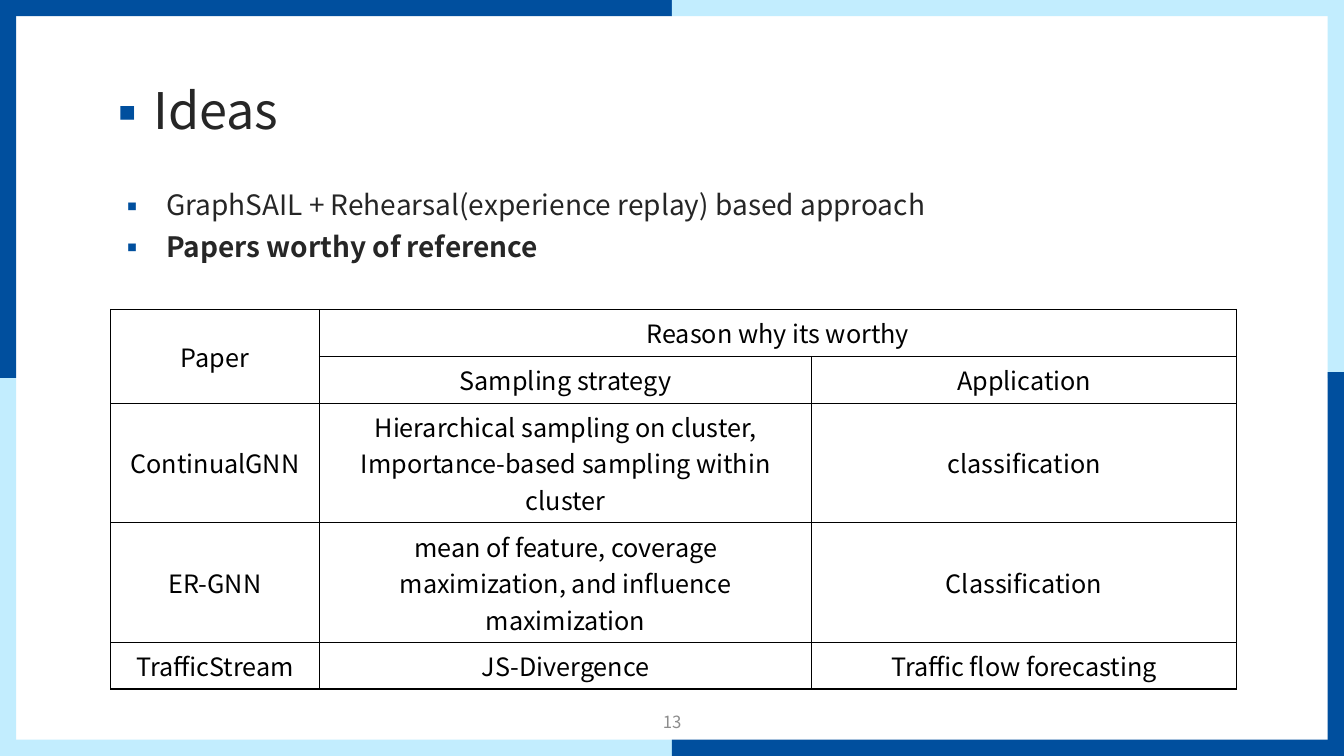
from lxml.etree import SubElement
from pptx import Presentation
from pptx.dml.color import RGBColor
from pptx.enum.shapes import MSO_SHAPE as Shape
from pptx.enum.text import MSO_ANCHOR as Anchor, MSO_AUTO_SIZE as Fit, PP_ALIGN as Align
from pptx.oxml import parse_xml
from pptx.oxml.ns import nsdecls, qn
from pptx.util import Cm, Pt

TITLE = "Ideas"
POINTS = [
    ("GraphSAIL + Rehearsal(experience replay) based approach", False),
    ("Papers worthy of reference", True),
]
NUMBER = "13"
ROWS = [
    ("Paper", "Reason why its worthy", ""),
    ("", "Sampling strategy", "Application"),
    ("ContinualGNN",
     "Hierarchical sampling on cluster,\nImportance-based sampling within cluster",
     "classification"),
    ("ER-GNN",
     "mean of feature, coverage maximization, and influence maximization",
     "Classification"),
    ("TrafficStream", "JS-Divergence", "Traffic flow forecasting"),
]
MERGES = [((0, 0), (1, 0)), ((0, 1), (0, 2))]
COLS = [5.26, 12.41, 10.7]
HEIGHTS = [1.18, 1.18, 3.01, 3.01, 1.18]

FONT = "Noto Sans CJK KR"
BLUE = RGBColor(0x00, 0x4F, 0x9E)
SKY = RGBColor(0xC2, 0xED, 0xFE)
DARK = RGBColor(0x26, 0x26, 0x26)
GREY = RGBColor(0x8C, 0x8C, 0x8C)
BLACK = RGBColor(0, 0, 0)

WIDTH, HEIGHT, EDGE = 33.87, 19.05, 0.41
HALF, MID = WIDTH / 2, HEIGHT / 2
BARS = [
    (0, 0, HALF, EDGE, BLUE),
    (HALF, 0, HALF, EDGE, SKY),
    (0, HEIGHT - EDGE, HALF, EDGE, SKY),
    (HALF, HEIGHT - EDGE, HALF, EDGE, BLUE),
    (0, 0, EDGE, MID, BLUE),
    (0, MID, EDGE, MID, SKY),
    (WIDTH - EDGE, 0, EDGE, MID, SKY),
    (WIDTH - EDGE, MID - 0.15, EDGE, MID + 0.15, BLUE),
]


def write(para, text, size, color, bold=False, align=Align.LEFT):
    para.alignment = align
    run = para.add_run()
    run.text = text
    font = run.font
    font.name, font.size, font.bold = FONT, Pt(size), bold
    font.color.rgb = color
    SubElement(font._element, qn("a:ea"), typeface=FONT)


def bullet(para, before=0):
    para.line_spacing = 0.9
    para.space_before = Pt(before)
    props = para._p.get_or_add_pPr()
    props.set("marL", str(Cm(1.19)))
    props.set("indent", str(Cm(-1.19)))
    tint = SubElement(props, qn("a:buClr"))
    SubElement(tint, qn("a:srgbClr"), val=str(BLUE))
    SubElement(props, qn("a:buFont"), typeface=FONT)
    SubElement(props, qn("a:buChar"), char="▪")


def place(shape, left, top, width, height, anchor):
    shape.left, shape.top = Cm(left), Cm(top)
    shape.width, shape.height = Cm(width), Cm(height)
    frame = shape.text_frame
    frame.auto_size, frame.word_wrap = Fit.NONE, True
    frame.vertical_anchor = anchor
    return frame


def border(cell):
    props = cell._tc.get_or_add_tcPr()
    for spot, side in enumerate("LRTB"):
        props.insert(spot, parse_xml(
            f'<a:ln{side} {nsdecls("a")} w="{Pt(1)}"><a:solidFill>'
            f'<a:srgbClr val="{BLACK}"/></a:solidFill></a:ln{side}>'))


def add_papers(slide):
    table = slide.shapes.add_table(
        len(ROWS), len(COLS), Cm(2.79), Cm(7.8),
        Cm(sum(COLS)), Cm(sum(HEIGHTS))).table
    table.first_row = table.horz_banding = False
    for col, width in zip(table.columns, COLS):
        col.width = Cm(width)
    for row, height in zip(table.rows, HEIGHTS):
        row.height = Cm(height)
    for start, end in MERGES:
        table.cell(*start).merge(table.cell(*end))
    for r, row in enumerate(ROWS):
        for c, text in enumerate(row):
            cell = table.cell(r, c)
            cell.fill.background()
            border(cell)
            cell.vertical_anchor = Anchor.MIDDLE
            if cell.is_spanned:
                continue
            frame = cell.text_frame
            for i, line in enumerate(text.split("\n")):
                para = frame.add_paragraph() if i else frame.paragraphs[0]
                write(para, line, 18, BLACK, align=Align.CENTER)


def main():
    deck = Presentation()
    deck.slide_width, deck.slide_height = Cm(WIDTH), Cm(HEIGHT)
    slide = deck.slides.add_slide(deck.slide_layouts[1])
    for left, top, width, height, color in BARS:
        bar = slide.shapes.add_shape(
            Shape.RECTANGLE, Cm(left), Cm(top), Cm(width), Cm(height))
        bar.shadow.inherit = False
        bar.fill.solid()
        bar.fill.fore_color.rgb = color
        bar.line.fill.background()

    head = place(slide.shapes.title, 2.34, 1.02, 29.21, 3.68, Anchor.MIDDLE)
    write(head.paragraphs[0], TITLE, 36, DARK)
    bullet(head.paragraphs[0])

    body = place(slide.placeholders[1], 2.74, 4.7, 29.21, 12.09, Anchor.TOP)
    for i, (text, bold) in enumerate(POINTS):
        para = body.add_paragraph() if i else body.paragraphs[0]
        write(para, text, 20, DARK, bold=bold)
        bullet(para, before=8)

    box = slide.shapes.add_textbox(0, 0, 0, 0)
    foot = place(box, 13.13, 17.68, 7.62, 1.02, Anchor.MIDDLE)
    write(foot.paragraphs[0], NUMBER, 12, GREY, align=Align.CENTER)
    add_papers(slide)
    deck.save("out.pptx")


if __name__ == "__main__":
    main()
